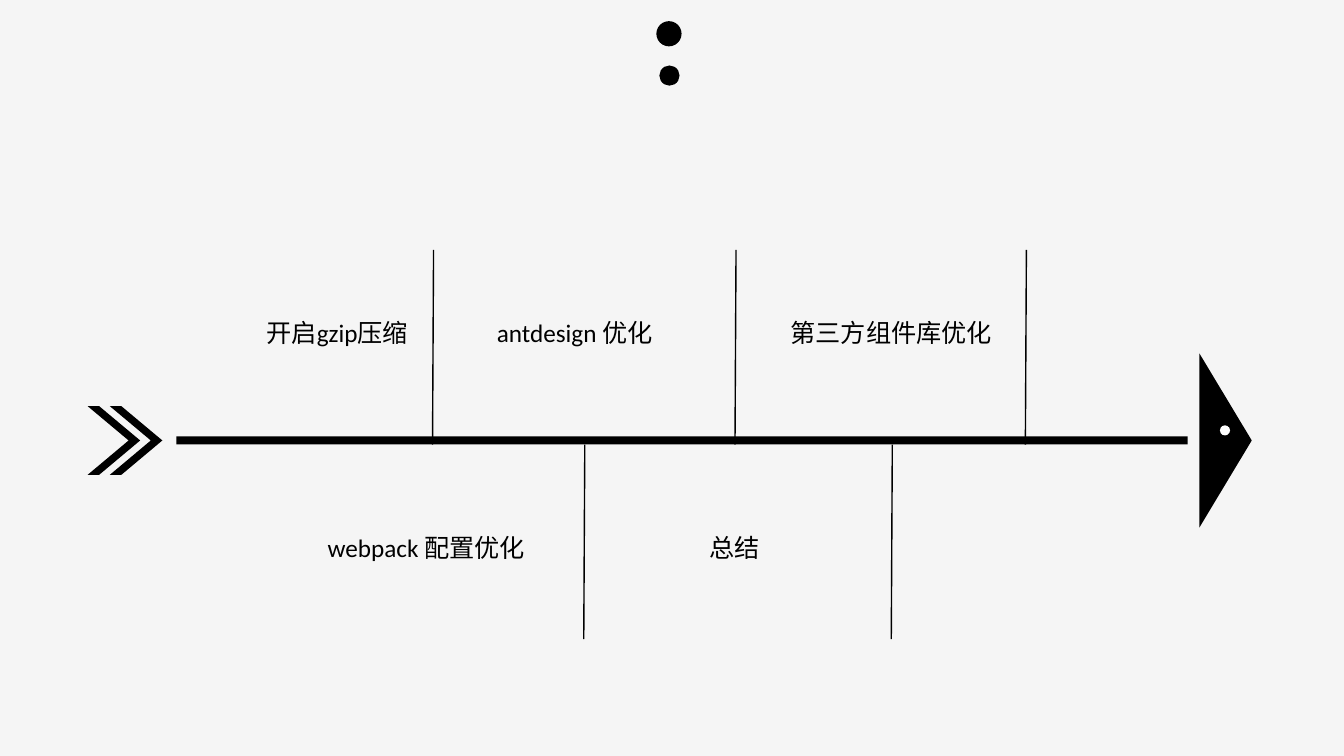
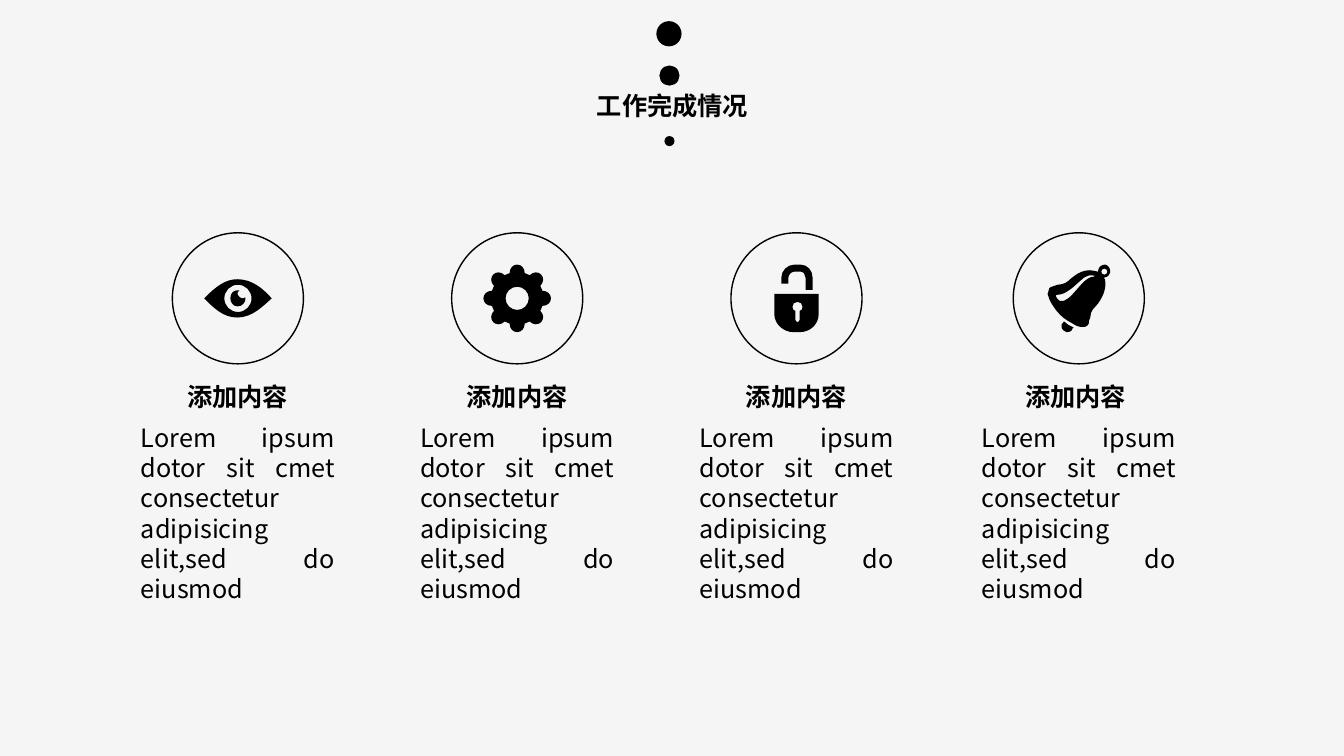
from math import cos, pi, sin

from lxml.etree import SubElement
from pptx import Presentation
from pptx.dml.color import RGBColor
from pptx.enum.shapes import MSO_CONNECTOR, MSO_SHAPE
from pptx.enum.text import MSO_ANCHOR, MSO_AUTO_SIZE, PP_ALIGN
from pptx.oxml.ns import qn
from pptx.util import Inches, Pt

BLACK = RGBColor(0x00, 0x00, 0x00)
WHITE = RGBColor(0xFF, 0xFF, 0xFF)
PAPER = RGBColor(0xF5, 0xF5, 0xF5)
LATIN_FONT = "Calibri"
CJK_FONT = "Noto Sans CJK SC"
TITLE_ONLY, BLANK = 5, 6

SPINE_BOTTOM = 4.41
BONE_LENGTH = 1.93
UPPER_BONES = (4.3, 7.3, 10.18)
LOWER_BONES = (5.8, 8.85)
STEPS = (
    ("开启gzip压缩", 2.51, 3.1, 1.67, PP_ALIGN.CENTER),
    ("antdesign 优化", 4.83, 3.1, 1.87, PP_ALIGN.LEFT),
    ("第三方组件库优化", 7.74, 3.1, 2.2, PP_ALIGN.CENTER),
    ("webpack 配置优化", 3.15, 5.23, 2.29, PP_ALIGN.LEFT),
    ("总结", 6.94, 5.23, 0.72, PP_ALIGN.LEFT),
)

COLUMN_CENTERS = (2.36, 5.13, 7.9, 10.7)
HEADING_LEFT = 1.76
HEADING_PITCH = 2.77
ICON_CENTER_Y = 2.96
RING_SIZE = 1.3
HEADING = "添加内容"
BODY = "Lorem ipsum dotor sit cmet consectetur adipisicing elit,sed do eiusmod"

# Icon outlines in hundredths of an inch: M move, L line, C cubic curve
EYE_LID = "M 33 0 C 21 0 12 7 0 19 C 10 29 19 38 33 38 C 48 38 59 26 67 19 C 59 10 48 0 33 0"
EYE_PUPIL = (
    "M 33 14 C 33 13 34 12 35 11 C 34 11 34 11 33 11 C 29 11 26 14 26 19 "
    "C 26 23 29 27 33 27 C 38 27 41 23 41 19 L 41 18 C 40 18 39 19 38 19 C 36 19 33 16 33 14"
)
LOCK_SHACKLE = (
    "M 14 13 C 14 10 17 7 20 7 L 26 7 C 29 7 31 10 31 13 L 31 25 L 38 25 L 38 13 "
    "C 38 6 33 0 26 0 L 20 0 C 13 0 7 6 7 13 L 7 19 L 14 19"
)
LOCK_BODY = "M 0 29 L 0 49 C 0 59 9 67 19 67 L 25 67 C 36 67 44 59 44 49 L 44 29"
LOCK_KEYHOLE = (
    "M 25 46 L 25 55 C 25 56 24 57 23 57 C 22 57 21 56 21 55 L 21 46 "
    "C 19 46 18 44 18 42 C 18 39 20 37 23 37 C 26 37 28 39 28 42 C 28 44 27 46 25 46"
)
BELL_BODY = (
    "M 57 0 C 53 0 50 3 50 7 C 48 6 47 6 45 6 C 43 5 40 6 38 6 C 32 7 28 10 23 14 "
    "C 22 15 20 17 18 18 C 16 19 13 20 10 20 C 8 21 6 21 4 22 C 2 22 1 24 1 26 "
    "C 0 27 0 28 0 29 C 1 31 1 33 2 35 C 4 39 6 42 9 46 C 13 51 18 55 24 58 "
    "C 27 60 31 62 34 62 C 36 62 39 62 40 60 C 41 59 41 58 41 56 C 42 54 43 51 43 48 "
    "C 44 45 46 43 48 41 C 51 38 53 34 55 30 C 57 25 58 20 57 15 C 56 14 56 13 56 13 "
    "C 60 12 61 11 62 8 L 62 6 C 62 3 59 0 57 0"
)
BELL_SHINE = (
    "M 46 12 C 42 12 38 15 35 18 C 32 21 29 25 26 28 C 23 32 20 34 16 36 "
    "C 15 36 14 36 12 36 C 10 35 9 33 8 31 L 9 30 C 12 30 16 29 19 27 "
    "C 22 25 25 23 28 20 C 31 18 33 15 36 13 C 39 11 42 10 46 11 C 47 11 47 11 46 12"
)
BELL_CLAPPER = (
    "M 25 62 C 22 61 19 59 17 57 C 16 56 16 56 16 57 C 14 58 13 60 14 63 "
    "C 15 65 16 66 19 67 C 23 67 25 65 25 63 C 26 62 26 62 25 62"
)


def outline(commands):
    """Split M, L and C commands into segments of one point or three points."""
    words = commands.split()
    segments = []
    while words:
        count = 6 if words.pop(0) == "C" else 2
        values = [float(word) for word in words[:count]]
        del words[:count]
        segments.append(list(zip(values[::2], values[1::2])))
    return segments


def circle(x, y, radius):
    near, far = radius, radius * 0.55
    return [
        [(x, y - near)],
        [(x + far, y - near), (x + near, y - far), (x + near, y)],
        [(x + near, y + far), (x + far, y + near), (x, y + near)],
        [(x - far, y + near), (x - near, y + far), (x - near, y)],
        [(x - near, y - far), (x - far, y - near), (x, y - near)],
    ]


def gear_rim(center, teeth=8):
    """Repeat one round tooth, drawn pointing up, around the centre."""
    tooth = outline(
        "M -7.5 -25 C -7.5 -30 -4.1 -33.5 0 -33.5 C 4.1 -33.5 7.5 -30 7.5 -25"
    )
    rim = []
    for index in range(teeth):
        angle = 2 * pi * index / teeth
        rim += [
            [
                (center + x * cos(angle) - y * sin(angle),
                 center + x * sin(angle) + y * cos(angle))
                for x, y in segment
            ]
            for segment in tooth
        ]
    return rim


def icon_contours():
    """Contours of the eye, gear, padlock and bell, in column order."""
    eye = [outline(EYE_LID), circle(33.5, 19, 13.5), outline(EYE_PUPIL)]
    gear = [gear_rim(33.5), circle(33.5, 33.5, 11.5)]
    padlock = [outline(part) for part in (LOCK_SHACKLE, LOCK_BODY, LOCK_KEYHOLE)]
    bell = [outline(part) for part in (BELL_BODY, BELL_SHINE, BELL_CLAPPER)]
    bell.append(circle(56.25, 7, 3))
    return eye, gear, padlock, bell


def paint(shape, fill=None, line=None):
    shape.shadow.inherit = False
    if fill is None:
        shape.fill.background()
    else:
        shape.fill.solid()
        shape.fill.fore_color.rgb = fill
    if line is None:
        shape.line.fill.background()
    else:
        shape.line.color.rgb = line
        shape.line.width = Pt(1)


def add_preset(shapes, kind, left, top, width, height, fill=BLACK, line=None):
    shape = shapes.add_shape(kind, Inches(left), Inches(top), Inches(width), Inches(height))
    paint(shape, fill, line)
    return shape


def bend_lines(shape, segments):
    """Turn the straight steps of a freeform into curves where a segment has handles."""
    steps = list(shape.element.iter(qn("a:moveTo"), qn("a:lnTo")))
    for step, segment in zip(steps, segments):
        if len(segment) == 1:
            continue
        curve = SubElement(step.getparent(), qn("a:cubicBezTo"))
        for x, y in segment:
            SubElement(curve, qn("a:pt"), x=str(x - shape.left), y=str(y - shape.top))
        step.getparent().replace(step, curve)


def add_icon(shapes, contours, center_x, center_y):
    xs, ys = zip(*(segment[-1] for contour in contours for segment in contour))
    shift_x = center_x - (min(xs) + max(xs)) / 200
    shift_y = center_y - (min(ys) + max(ys)) / 200
    placed = [
        [
            [(Inches(shift_x + x / 100), Inches(shift_y + y / 100)) for x, y in segment]
            for segment in contour
        ]
        for contour in contours
    ]
    builder = shapes.build_freeform(*placed[0][0][0])
    for index, contour in enumerate(placed):
        if index:
            builder.move_to(*contour[0][0])
        builder.add_line_segments([segment[-1] for segment in contour[1:]], close=True)
    icon = builder.convert_to_shape()
    bend_lines(icon, [segment for contour in placed for segment in contour])
    paint(icon, BLACK)


def add_bone(page, left, top):
    bone = page.shapes.add_connector(
        MSO_CONNECTOR.STRAIGHT,
        Inches(left), Inches(top), Inches(left - 0.01), Inches(top + BONE_LENGTH),
    )
    bone.line.color.rgb = BLACK
    bone.line.width = Pt(1)
    SubElement(bone.element.spPr, qn("a:effectLst"))


def write_text(shape, text, align=PP_ALIGN.LEFT, font=LATIN_FONT, bold=False):
    frame = shape.text_frame
    frame_format = {
        "word_wrap": True,
        "auto_size": MSO_AUTO_SIZE.NONE,
        "vertical_anchor": MSO_ANCHOR.TOP,
    }
    for name, value in frame_format.items():
        setattr(frame, name, value)
    para = frame.paragraphs[0]
    para.alignment = align
    para.line_spacing = Pt(21.6)
    span = para.add_run()
    span.text = text
    for name, value in {"name": font, "size": Pt(18), "bold": bold}.items():
        setattr(span.font, name, value)
    span.font.color.rgb = BLACK
    SubElement(span.font._element, qn("a:ea"), typeface=CJK_FONT)


def add_text(page, text, left, top, width, height=0.4, **text_format):
    box = page.shapes.add_textbox(Inches(left), Inches(top), Inches(width), Inches(height))
    write_text(box, text, **text_format)


def add_page(deck, layout, title=None):
    """Start a page with its dots; a titled page has a third dot below the title."""
    page = deck.slides.add_slide(deck.slide_layouts[layout])
    dots = [(6.51, 0.21, 0.25), (6.54, 0.65, 0.2)]
    if title:
        holder = page.shapes.title
        place = {"left": 5.82, "top": 0.85, "width": 1.72, "height": 0.4}
        for name, value in place.items():
            setattr(holder, name, Inches(value))
        write_text(holder, title, bold=True)
        dots.append((6.59, 1.35, 0.1))
    for left, top, size in dots:
        add_preset(page.shapes, MSO_SHAPE.OVAL, left, top, size, size)
    return page


def add_fish(page):
    """Spine, double tail, head and eye of the fishbone."""
    parts = page.shapes.add_group_shape().shapes
    add_preset(parts, MSO_SHAPE.RECTANGLE, 1.75, 4.33, 10.03, 0.08)
    for left in (0.87, 1.09):
        tail = add_preset(parts, MSO_SHAPE.CHEVRON, left, 4.03, 0.52, 0.68)
        tail.adjustments[0] = 0.78
    head = add_preset(parts, MSO_SHAPE.ISOSCELES_TRIANGLE, 11.29, 4.11, 1.73, 0.52)
    head.rotation = 90
    add_preset(parts, MSO_SHAPE.OVAL, 12.1, 4.22, 0.1, 0.1, fill=WHITE)


def build_fishbone(deck):
    page = add_page(deck, BLANK)
    add_fish(page)
    for left in UPPER_BONES:
        add_bone(page, left, SPINE_BOTTOM - BONE_LENGTH)
    for left in LOWER_BONES:
        add_bone(page, left, SPINE_BOTTOM)
    for text, left, top, width, align in STEPS:
        add_text(page, text, left, top, width, align=align)


def build_progress(deck):
    page = add_page(deck, TITLE_ONLY, "工作完成情况")
    for index, (center, contours) in enumerate(zip(COLUMN_CENTERS, icon_contours())):
        badge = page.shapes.add_group_shape().shapes
        add_preset(
            badge, MSO_SHAPE.OVAL, center - RING_SIZE / 2, ICON_CENTER_Y - RING_SIZE / 2,
            RING_SIZE, RING_SIZE, fill=None, line=BLACK,
        )
        add_icon(badge, contours, center, ICON_CENTER_Y)
        heading_left = HEADING_LEFT + index * HEADING_PITCH
        add_text(page, HEADING, heading_left, 3.73, 1.22, bold=True)
        add_text(page, BODY, center - 1.06, 4.14, 2.12, 1.92,
                 align=PP_ALIGN.JUSTIFY, font=CJK_FONT)


def main():
    deck = Presentation()
    deck.slide_width, deck.slide_height = Inches(13.33), Inches(7.5)
    background = deck.slide_master.background.fill
    background.solid()
    background.fore_color.rgb = PAPER
    build_fishbone(deck)
    build_progress(deck)
    deck.save("out.pptx")


if __name__ == "__main__":
    main()
